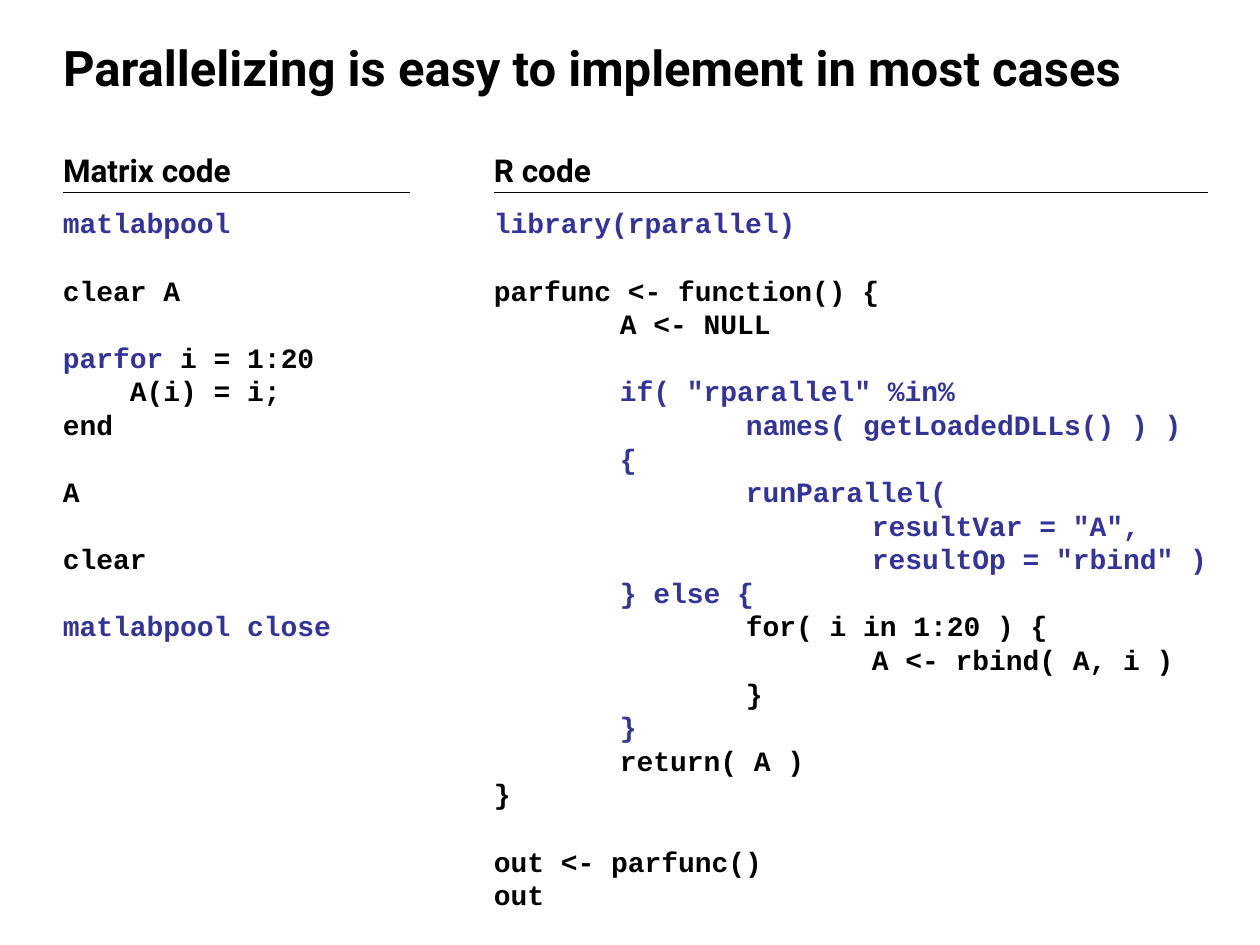
from lxml.etree import SubElement
from pptx import Presentation
from pptx.dml.color import RGBColor
from pptx.enum.shapes import MSO_CONNECTOR
from pptx.enum.text import MSO_ANCHOR, MSO_AUTO_SIZE, PP_ALIGN
from pptx.oxml.ns import qn
from pptx.util import Inches, Pt

COLORS = {"plain": "000000", "parallel": "333399"}

MATRIX_BLOCKS = [
    [[("parallel", "matlabpool")]],
    [[("plain", "clear A")]],
    [
        [("parallel", "parfor"), ("plain", " i = 1:20")],
        [("plain", "    A(i) = i;")],
        [("plain", "end")],
    ],
    [[("plain", "A")]],
    [[("plain", "clear")]],
    [[("parallel", "matlabpool close")]],
]

R_BLOCKS = [
    [[("parallel", "library(rparallel)")]],
    [
        [("plain", "parfunc <- function() {")],
        [("plain", "\tA <- NULL")],
    ],
    [
        [("parallel", '\tif( "rparallel" %in%')],
        [("parallel", "\t\tnames( getLoadedDLLs() ) )")],
        [("parallel", "\t{")],
        [("parallel", "\t\trunParallel(")],
        [("parallel", '\t\t\tresultVar = "A",')],
        [("parallel", '\t\t\tresultOp = "rbind" )')],
        [("parallel", "\t} else {")],
        [("plain", "\t\tfor( i in 1:20 ) {")],
        [("plain", "\t\t\tA <- rbind( A, i )")],
        [("plain", "\t\t}")],
        [("parallel", "\t}")],
        [("plain", "\treturn( A )")],
        [("plain", "}")],
    ],
    [
        [("plain", "out <- parfunc()")],
        [("plain", "out")],
    ],
]


class CodeSlide:
    COLUMN = Inches(0.5)
    ROW = Inches(0.3)
    HEADING_FONT = "Roboto"
    CODE_FONT = "Courier New"
    CODE_SIZE = Pt(16)
    CODE_LINE = Pt(19.2)

    def __init__(self, presentation):
        self.slide = presentation.slides.add_slide(presentation.slide_layouts[5])

    def place(self, column, row, columns, rows):
        return (round(column * self.COLUMN), round(row * self.ROW),
                round(columns * self.COLUMN), round(rows * self.ROW))

    def clear_margins(self, frame):
        frame.margin_left = frame.margin_right = 0
        frame.margin_top = frame.margin_bottom = 0
        frame.vertical_anchor = MSO_ANCHOR.TOP

    def style(self, paragraph, name, size, color=None):
        paragraph.alignment = PP_ALIGN.LEFT
        paragraph.font.name = name
        paragraph.font.size = size
        paragraph.font.bold = True
        if color:
            paragraph.font.color.rgb = RGBColor.from_string(COLORS[color])

    def title(self, text, *cells):
        title = self.slide.shapes.title
        title.left, title.top, title.width, title.height = self.place(*cells)
        frame = title.text_frame
        self.clear_margins(frame)
        frame.auto_size = MSO_AUTO_SIZE.NONE
        frame.text = text
        self.style(frame.paragraphs[0], self.HEADING_FONT, Pt(28), "plain")

    def text_frame(self, *cells):
        frame = self.slide.shapes.add_textbox(*self.place(*cells)).text_frame
        self.clear_margins(frame)
        frame.word_wrap = False
        frame.auto_size = MSO_AUTO_SIZE.SHAPE_TO_FIT_TEXT
        return frame

    def heading(self, text, *cells):
        frame = self.text_frame(*cells)
        frame.text = text
        self.style(frame.paragraphs[0], self.HEADING_FONT, Pt(18), "plain")

    def rule(self, column, row, columns):
        left, top, width, _ = self.place(column, row, columns, 0)
        rule = self.slide.shapes.add_connector(
            MSO_CONNECTOR.STRAIGHT, left, top, left + width, top)
        rule.line.color.rgb = RGBColor.from_string(COLORS["plain"])
        rule.line.width = Pt(0.75)
        SubElement(rule._element.spPr, qn("a:effectLst"))

    def add_tabs(self, paragraph):
        tabs = SubElement(paragraph._p.get_or_add_pPr(), qn("a:tabLst"))
        for inch in range(1, 8):
            SubElement(tabs, qn("a:tab"), pos=str(Inches(inch)), algn="l")

    def code(self, blocks, *cells):
        frame = self.text_frame(*cells)
        paragraph = frame.paragraphs[0]
        for block_index, block in enumerate(blocks):
            for line_index, line in enumerate(block):
                if block_index or line_index:
                    paragraph = frame.add_paragraph()
                self.add_tabs(paragraph)
                paragraph.line_spacing = self.CODE_LINE
                if block_index and not line_index:
                    paragraph.space_before = self.CODE_LINE
                shared_color = line[0][0] if len(line) == 1 else None
                self.style(paragraph, self.CODE_FONT, self.CODE_SIZE, shared_color)
                for color, text in line:
                    run = paragraph.add_run()
                    run.text = text
                    if not shared_color:
                        run.font.color.rgb = RGBColor.from_string(COLORS[color])


def main():
    presentation = Presentation()
    presentation.slide_width = Inches(10)
    presentation.slide_height = Inches(7.5)
    page = CodeSlide(presentation)
    page.title("Parallelizing is easy to implement in most cases", 1, 1, 18, 4.17)
    listings = [
        ("Matrix code", MATRIX_BLOCKS, 1, 2.9, 5.5, 4.26, 11.57),
        ("R code", R_BLOCKS, 7.84, 1.66, 11.34, 11.5, 18.67),
    ]
    for heading, blocks, column, heading_width, rule_width, code_width, code_rows in listings:
        page.heading(heading, column, 4, heading_width, 1)
        page.rule(column, 5.1, rule_width)
        page.code(blocks, column, 5.45, code_width, code_rows)
    presentation.save("out.pptx")


if __name__ == "__main__":
    main()
